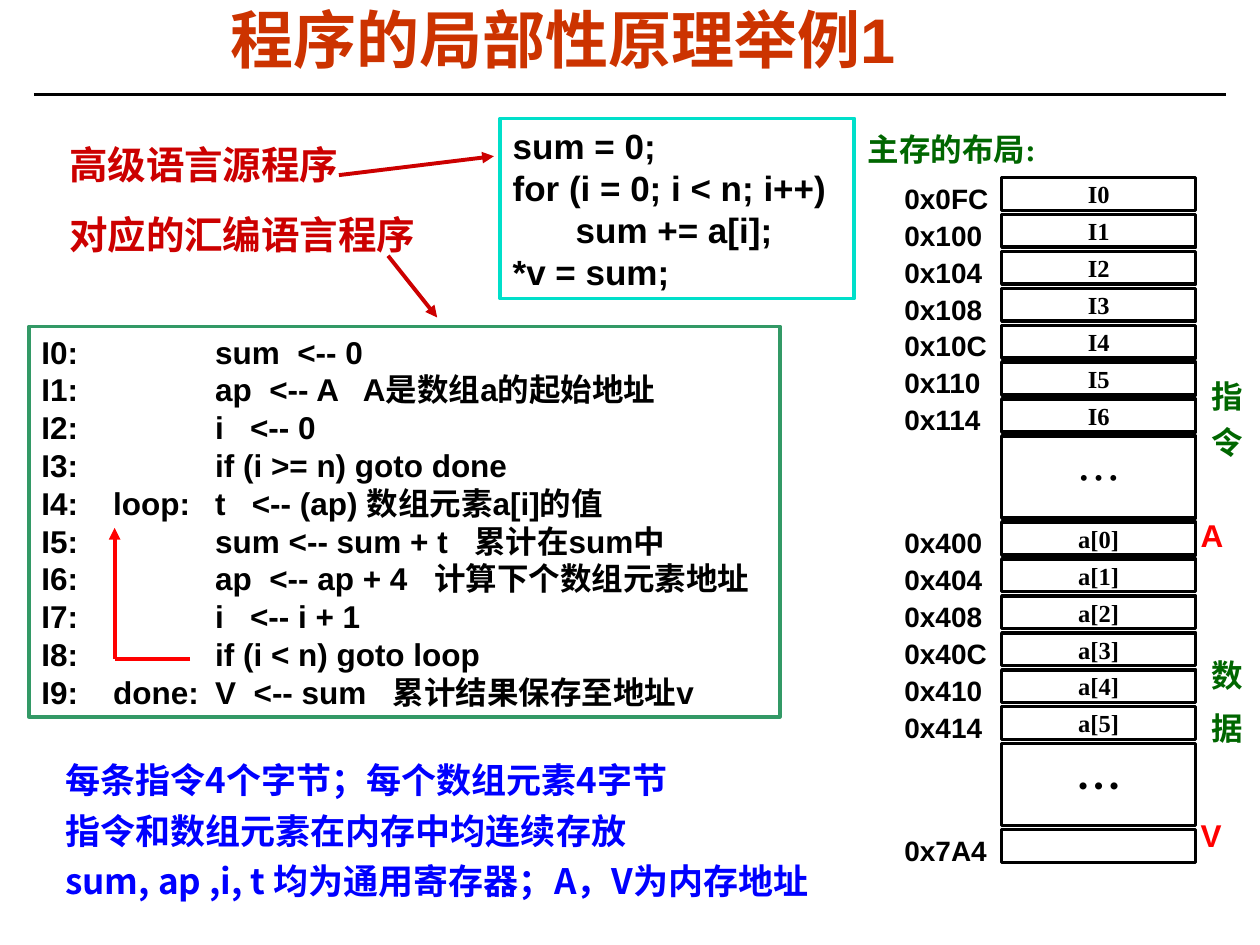
from pptx import Presentation
from pptx.dml.color import RGBColor
from pptx.enum.shapes import MSO_CONNECTOR, MSO_SHAPE
from pptx.enum.text import MSO_ANCHOR, PP_ALIGN
from pptx.oxml.ns import qn
from pptx.util import Inches, Pt
from lxml.etree import SubElement

prs = Presentation()
prs.slide_width, prs.slide_height = Inches(10), Inches(7.5)
slide = prs.slides.add_slide(prs.slide_layouts[5])
col, row = prs.slide_width / 100, prs.slide_height / 75


def rgb(value):
    return RGBColor.from_string(value)


def write(text, x, y, w, h, sp=None, size=18, font="Arial", color="000000",
          bold=True, align=PP_ALIGN.LEFT, anchor=MSO_ANCHOR.TOP, inset=(1, 0.5),
          fill=None, line=None, before=0, spacing=1, hang=0, tabs=(), vertical=False, gap=0):
    if sp is None and line:
        sp = slide.shapes.add_shape(MSO_SHAPE.RECTANGLE, 0, 0, 0, 0)
        sp.shadow.inherit = False
        sp.line.color.rgb = rgb(line)
        sp.line.width = Pt(2)
        if fill:
            sp.fill.solid()
            sp.fill.fore_color.rgb = rgb(fill)
        else:
            sp.fill.background()
    elif sp is None:
        sp = slide.shapes.add_textbox(0, 0, 0, 0)
    sp.left, sp.top, sp.width, sp.height = int(x * col), int(y * row), int(w * col), int(h * row)
    tf = sp.text_frame
    tf.word_wrap = True
    tf.vertical_anchor = anchor
    tf.margin_left = tf.margin_right = int(inset[0] * col)
    tf.margin_top = tf.margin_bottom = int(inset[1] * row)
    if vertical:
        tf._txBody.bodyPr.set("vert", "eaVert")
    for i, words in enumerate(text.split("\n") if text else []):
        p = tf.paragraphs[0] if i == 0 else tf.add_paragraph()
        p.alignment = align
        p.space_before = Pt(before)
        p.line_spacing = spacing
        pPr = p._p.get_or_add_pPr()
        if hang:
            pPr.set("marL", str(int(hang * col)))
            pPr.set("indent", str(-int(hang * col)))
        if tabs:
            stops = SubElement(pPr, qn("a:tabLst"))
            for stop in tabs:
                SubElement(stops, qn("a:tab"), pos=str(int(stop * col)), algn="l")
        r = p.add_run()
        r.text = words
        r.font.size, r.font.name, r.font.bold = Pt(size), font, bold
        r.font.color.rgb = rgb(color)
        rPr = r._r.get_or_add_rPr()
        SubElement(rPr, qn("a:ea"), typeface="Noto Sans CJK SC")
        if gap:
            rPr.set("spc", str(gap))
    return sp


write("程序的局部性原理举例1", 7.5, 0.4, 74.3, 6.2, sp=slide.shapes.title, size=36,
      color="CC3300", align=PP_ALIGN.CENTER, anchor=MSO_ANCHOR.MIDDLE, spacing=0.87)

source_code = """sum = 0;
for (i = 0; i < n; i++)
\tsum += a[i];
*v = sum;"""
write(source_code, 39.7, 9.4, 28.1, 14.3, size=20, fill="FFFFFF", line="00DFCA", tabs=(5, 10))

notes = """每条指令4个字节；每个数组元素4字节
指令和数组元素在内存中均连续存放
sum, ap ,i, t 均为通用寄存器；A，V为内存地址"""
write(notes, 4.2, 59.7, 63, 12.2, size=20, font="Noto Sans CJK SC", color="0000FF",
      before=5, hang=2.5)

assembly = """I0:\t\tsum  <-- 0
I1:\t\tap  <-- A   A是数组a的起始地址
I2:\t\ti   <-- 0
I3:\t\tif (i >= n) goto done
I4:\tloop:\tt   <-- (ap) 数组元素a[i]的值
I5:\t\tsum <-- sum + t   累计在sum中
I6:\t\tap  <-- ap + 4   计算下个数组元素地址
I7:\t\ti   <-- i + 1
I8:\t\tif (i < n) goto loop
I9:\tdone:\tV  <-- sum   累计结果保存至地址v"""
write(assembly, 2.3, 25.9, 59.6, 31, line="339966", tabs=(5.7, 13.8))

write("主存的布局:", 67.9, 9.8, 17, 4, font="Times New Roman", color="006600")
dots = "• • •"
instructions = ["0x0FC", "0x100", "0x104", "0x108", "0x10C", "0x110", "0x114"]
elements = ["0x400", "0x404", "0x408", "0x40C", "0x410", "0x414"]
memory = [(address, f"I{i}") for i, address in enumerate(instructions)]
memory += [("", dots)]
memory += [(address, f"a[{i}]") for i, address in enumerate(elements)]
memory += [("", dots), ("0x7A4", "")]
top = 14.1
for i, (address, content) in enumerate(memory):
    height = 2.6 if address else 6.5
    first_dots = i == len(instructions)
    write(content, 79.5, top, 15.4, height, size=14,
          font="Times New Roman" if address or first_dots else "Arial", bold=not first_dots,
          align=PP_ALIGN.CENTER, anchor=MSO_ANCHOR.MIDDLE, fill="FFFFFF", line="000000")
    if address:
        write(address, 70.8, top - 0.2, 9, 3.6, size=16)
    top += height + 0.33

for label, y, gap in [("指令", 29.2, 860), ("数据", 51.4, 1220)]:
    write(label, 94.3, y, 5, 10, color="006600", inset=(0.5, 1), vertical=True, gap=gap)
for label, y in [("A", 40.5), ("V", 64.3)]:
    write(label, 94.3, y, 5.1, 4, color="FF0000", before=11.2)

write("高级语言源程序\n对应的汇编语言程序", 5.5, 11.2, 30.4, 9.2, size=22, color="CC0000",
      inset=(0, 0), before=13.8)

lines = [
    (2.7, 7.5, 97.3, 7.5, "000000", 1.5, False),
    (26.9, 13.9, 39.2, 12.4, "CC0000", 2.25, True),
    (30.8, 20.3, 34.7, 25.2, "CC0000", 2.25, True),
    (15.1, 52.3, 9.1, 52.3, "FF0000", 2.25, False),
    (9.1, 52.3, 9.1, 41.9, "FF0000", 2.25, True),
]
for x1, y1, x2, y2, color, width, arrow in lines:
    s = slide.shapes.add_connector(MSO_CONNECTOR.STRAIGHT, int(x1 * col), int(y1 * row),
                                   int(x2 * col), int(y2 * row))
    s.line.color.rgb = rgb(color)
    s.line.width = Pt(width)
    if arrow:
        SubElement(s.line._get_or_add_ln(), qn("a:tailEnd"), type="triangle")
    SubElement(s._element.spPr, qn("a:effectLst"))

prs.save("out.pptx")
